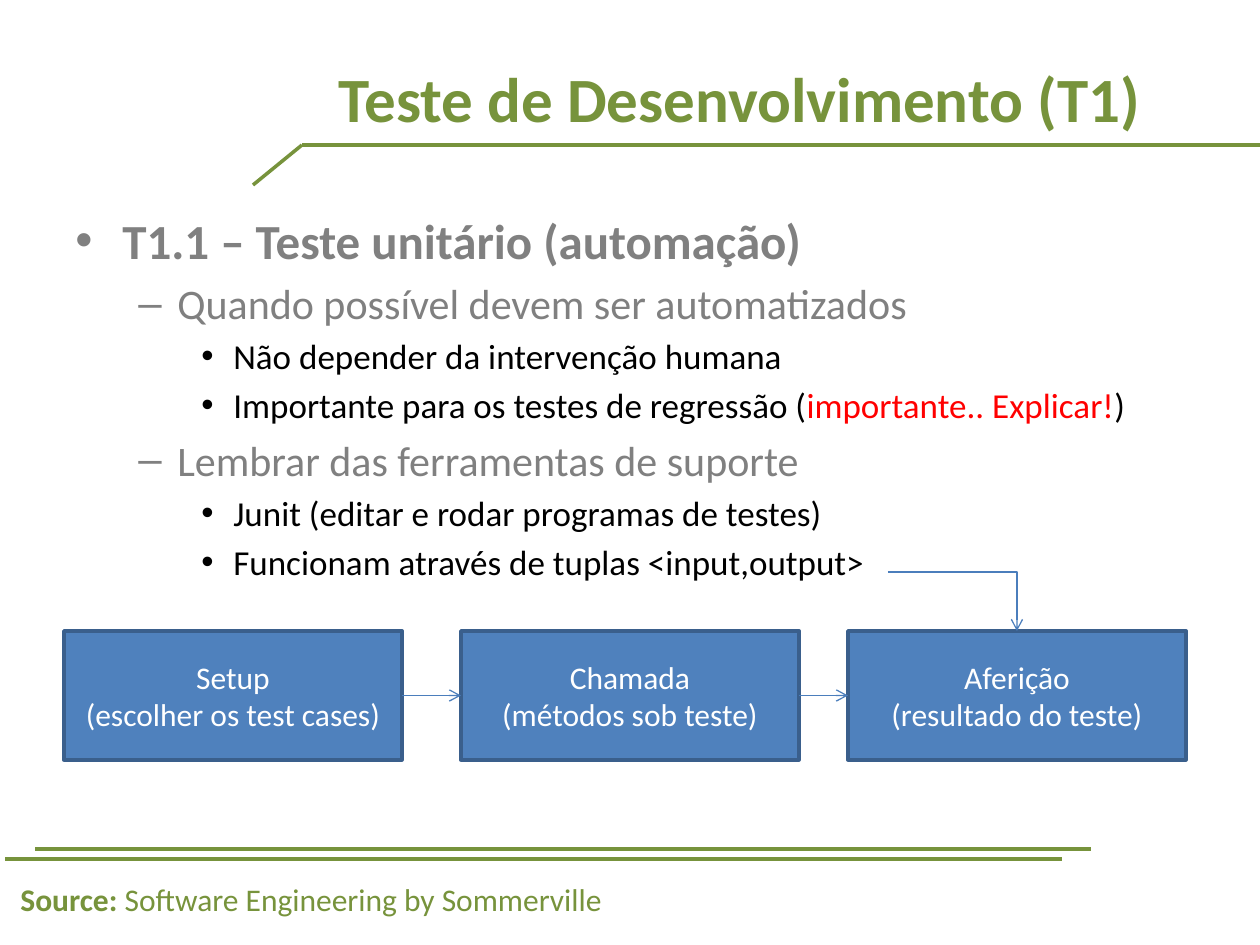
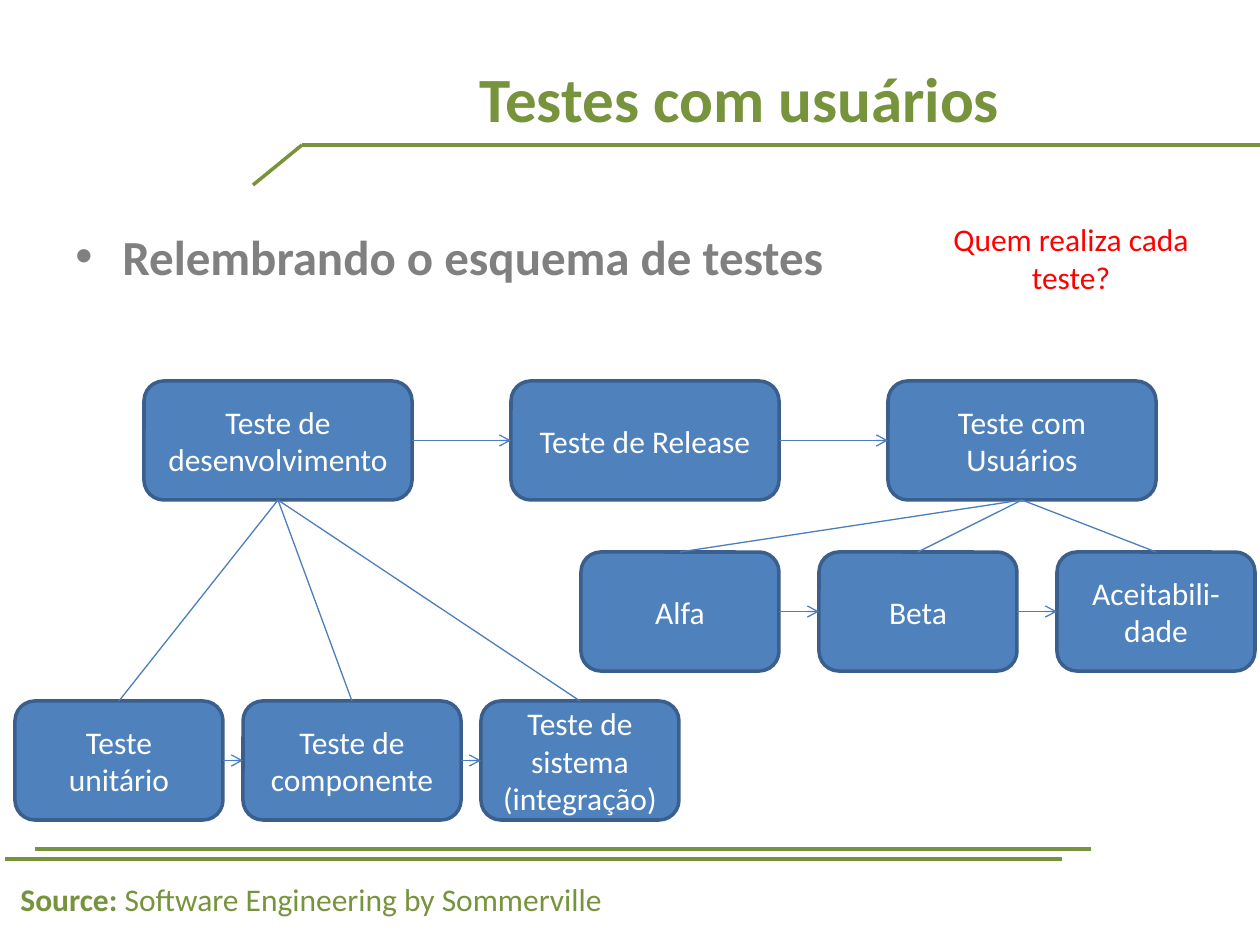
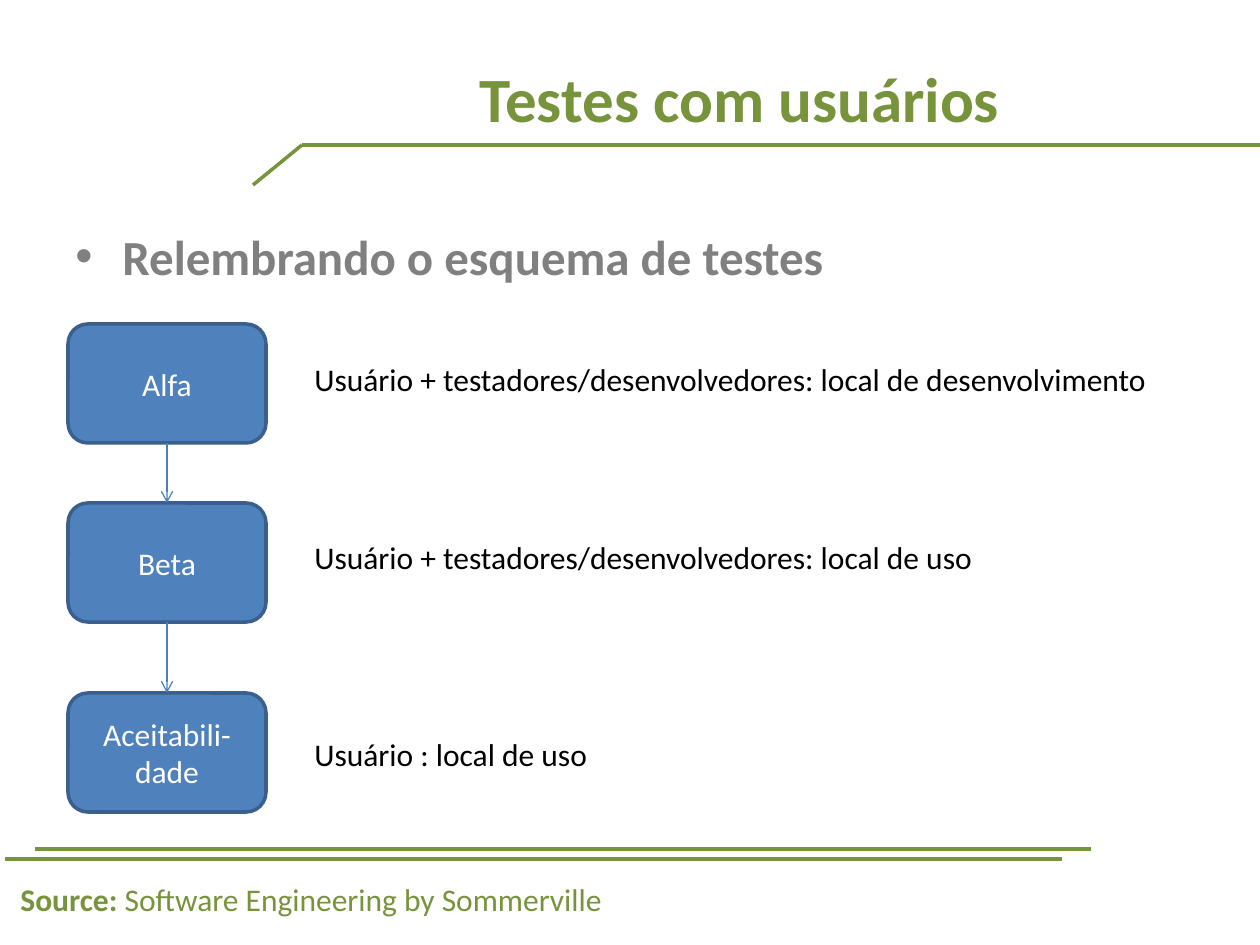
from lxml.etree import SubElement
from pptx import Presentation
from pptx.dml.color import RGBColor
from pptx.enum.shapes import MSO_CONNECTOR as LINE, MSO_SHAPE as SHAPE
from pptx.enum.text import MSO_ANCHOR as ANCHOR, PP_ALIGN as ALIGN
from pptx.oxml.ns import qn
from pptx.util import Inches, Pt

PX = 914400 / 126
TOP, LEFT, BOTTOM, RIGHT = range(4)

GREEN = RGBColor(0x77, 0x93, 0x3C)
GRAY = RGBColor(0x80, 0x80, 0x80)
BLACK = RGBColor(0x00, 0x00, 0x00)
RED = RGBColor(0xFF, 0x00, 0x00)
WHITE = RGBColor(0xFF, 0xFF, 0xFF)
BOX_FILL = RGBColor(0x4F, 0x81, 0xBD)
BOX_LINE = RGBColor(0x3A, 0x5F, 0x8C)
LINK_COLOR = RGBColor(0x4B, 0x7E, 0xBC)

# Text styles: size, bold, colour
TITLE = 36, True, GREEN
SOURCE_LABEL = 18, True, GREEN
SOURCE_TEXT = 18, False, GREEN
TOPIC = 28, True, GRAY
SUBTOPIC = 24, False, GRAY
DETAIL = 20, False, BLACK
DETAIL_ALERT = 20, False, RED
BOX_TEXT = 18, False, WHITE
NOTE = 18, False, BLACK
NOTE_ALERT = 18, False, RED

# Bullet levels: character, left margin and hanging indent in px
BULLETS = [("•", 47, 47), ("–", 102, 39), ("•", 158, 32)]

DECOR_LINES = [
    (1091, 849, 35, 849),
    (1062, 859, 5, 859),
    (1260, 145, 302, 145),
    (302, 145, 253, 185),
]

RECALL = [(0, [("Relembrando o esquema de testes", TOPIC)])]
USER_TESTS = ["Alfa", "Beta", "Aceitabili-dade"]

# boxes: left, top, width, height, text
# links: from box, side, to box, side, arrowhead
# notes: left, top, width, height, text, style, alignment, wrap
SLIDES = [
    {
        "title": "Teste de Desenvolvimento (T1)",
        "body": (63, 204, 1134, 615),
        "bullets": [
            (0, [("T1.1 – Teste unitário (automação)", TOPIC)]),
            (1, [("Quando possível devem ser automatizados", SUBTOPIC)]),
            (2, [("Não depender da intervenção humana", DETAIL)]),
            (2, [("Importante para os testes de regressão (", DETAIL),
                 ("importante.. Explicar!", DETAIL_ALERT), (")", DETAIL)]),
            (1, [("Lembrar das ferramentas de suporte", SUBTOPIC)]),
            (2, [("Junit (editar e rodar programas de testes)", DETAIL)]),
            (2, [("Funcionam através de tuplas <input,output>", DETAIL)]),
        ],
        "box_shape": SHAPE.RECTANGLE,
        "boxes": [
            (64, 631, 338, 129, "Setup\n(escolher os test cases)"),
            (461, 631, 338, 129, "Chamada\n(métodos sob teste)"),
            (848, 631, 338, 129, "Aferição\n(resultado do teste)"),
        ],
        "links": [(i, RIGHT, i + 1, LEFT, True) for i in range(2)],
        "notes": [],
    },
    {
        "title": "Testes com usuários",
        "body": (63, 220, 1197, 83),
        "bullets": RECALL,
        "box_shape": SHAPE.ROUNDED_RECTANGLE,
        "boxes": [
            (144, 381, 268, 119, "Teste de desenvolvimento"),
            (511, 381, 268, 119, "Teste de Release"),
            (888, 381, 268, 119, "Teste com Usuários"),
            (15, 701, 208, 119, "Teste unitário"),
            (243, 701, 218, 119, "Teste de componente"),
            (481, 701, 198, 119, "Teste de sistema\n(integração)"),
            *[(581 + 238 * i, 552, 198, 119, name)
              for i, name in enumerate(USER_TESTS)],
        ],
        "links": [
            *[(row + i, RIGHT, row + i + 1, LEFT, True)
              for row in (0, 3, 6) for i in range(2)],
            *[(parent, BOTTOM, child + i, TOP, False)
              for parent, child in ((0, 3), (2, 6)) for i in range(3)],
        ],
        "notes": [(937, 214, 268, 89, "Quem realiza cada teste?",
                   NOTE_ALERT, ALIGN.CENTER, True)],
    },
    {
        "title": "Testes com usuários",
        "body": (63, 220, 1197, 83),
        "bullets": RECALL,
        "box_shape": SHAPE.ROUNDED_RECTANGLE,
        "boxes": [(68, top, 198, 119, name)
                  for top, name in zip((324, 503, 693), USER_TESTS)],
        "links": [(i, BOTTOM, i + 1, TOP, True) for i in range(2)],
        "notes": [
            (302, top, width, 50, text, NOTE, ALIGN.LEFT, False)
            for top, width, text in [
                (354, 867, "Usuário + testadores/desenvolvedores: local de desenvolvimento"),
                (532, 690, "Usuário + testadores/desenvolvedores: local de uso"),
                (729, 301, "Usuário : local de uso"),
            ]
        ],
    },
]


def write(frame, lines, align=ALIGN.LEFT, wrap=True):
    """Fill a text frame with paragraphs, each a list of (text, style) runs."""
    frame.word_wrap = wrap
    for i, runs in enumerate(lines):
        paragraph = frame.add_paragraph() if i else frame.paragraphs[0]
        paragraph.alignment = align
        for text, (size, bold, color) in runs:
            run = paragraph.add_run()
            run.text = text
            formats = {"name": "Calibri", "size": Pt(size), "bold": bold}
            for name, value in formats.items():
                setattr(run.font, name, value)
            run.font.color.rgb = color


def add_line(slide, ends, color, width, arrow=False, kind=LINE.STRAIGHT):
    connector = slide.shapes.add_connector(kind, *[round(n * PX) for n in ends])
    connector.line.color.rgb = color
    connector.line.width = Pt(width)
    if arrow:
        SubElement(connector.get_or_add_ln(), qn("a:tailEnd"), type="arrow")
    SubElement(connector._element.spPr, qn("a:effectLst"))
    return connector


presentation = Presentation()
presentation.slide_width = Inches(10)
presentation.slide_height = Inches(7.5)
title_only = presentation.slide_layouts[5]

for content in SLIDES:
    slide = presentation.slides.add_slide(title_only)
    shapes = slide.shapes

    # Shared frame: rules, source and title
    for ends in DECOR_LINES:
        add_line(slide, ends, GREEN, 2)
    source = shapes.add_textbox(*[round(n * PX) for n in (8, 874, 621, 50)])
    write(source.text_frame, [[("Source: ", SOURCE_LABEL),
                               ("Software Engineering by Sommerville", SOURCE_TEXT)]],
          wrap=False)
    title = shapes.title
    place = zip(("left", "top", "width", "height"), (282, 18, 915, 158))
    for name, value in place:
        setattr(title, name, round(value * PX))
    title.text_frame.vertical_anchor = ANCHOR.MIDDLE
    write(title.text_frame, [[(content["title"], TITLE)]], ALIGN.CENTER)

    # Bulleted body
    body = shapes.add_textbox(*[round(n * PX) for n in content["body"]])
    write(body.text_frame, [runs for level, runs in content["bullets"]])
    for paragraph, (level, runs) in zip(body.text_frame.paragraphs, content["bullets"]):
        character, margin, hanging = BULLETS[level]
        paragraph.level = level
        paragraph.space_before = Pt(runs[0][1][0] * 0.2)
        properties = paragraph._p.get_or_add_pPr()
        properties.set("marL", str(round(margin * PX)))
        properties.set("indent", str(round(-hanging * PX)))
        SubElement(properties, qn("a:buFont"), typeface="Arial")
        SubElement(properties, qn("a:buChar"), char=character)

    # Diagram
    boxes = []
    for *place, text in content["boxes"]:
        box = shapes.add_shape(content["box_shape"], *[round(n * PX) for n in place])
        box.shadow.inherit = False
        box.fill.solid()
        box.fill.fore_color.rgb = BOX_FILL
        box.line.color.rgb = BOX_LINE
        box.line.width = Pt(2)
        box.text_frame.vertical_anchor = ANCHOR.MIDDLE
        write(box.text_frame, [[(line, BOX_TEXT)] for line in text.split("\n")],
              ALIGN.CENTER)
        boxes.append(box)
    for start, start_side, end, end_side, arrow in content["links"]:
        link = add_line(slide, (0, 0, 0, 0), LINK_COLOR, 0.75, arrow)
        link.begin_connect(boxes[start], start_side)
        link.end_connect(boxes[end], end_side)

    for *place, text, style, align, wrap in content["notes"]:
        note = shapes.add_textbox(*[round(n * PX) for n in place])
        write(note.text_frame, [[(text, style)]], align, wrap)

    # Elbow from the tuples bullet down to the result box
    if content is SLIDES[0]:
        elbow = add_line(slide, (888, 572, 1017, 631), LINK_COLOR, 0.75, True, LINE.ELBOW)
        elbow._element.spPr.find(qn("a:prstGeom")).set("prst", "bentConnector2")
        elbow.end_connect(boxes[2], TOP)

presentation.save("out.pptx")
